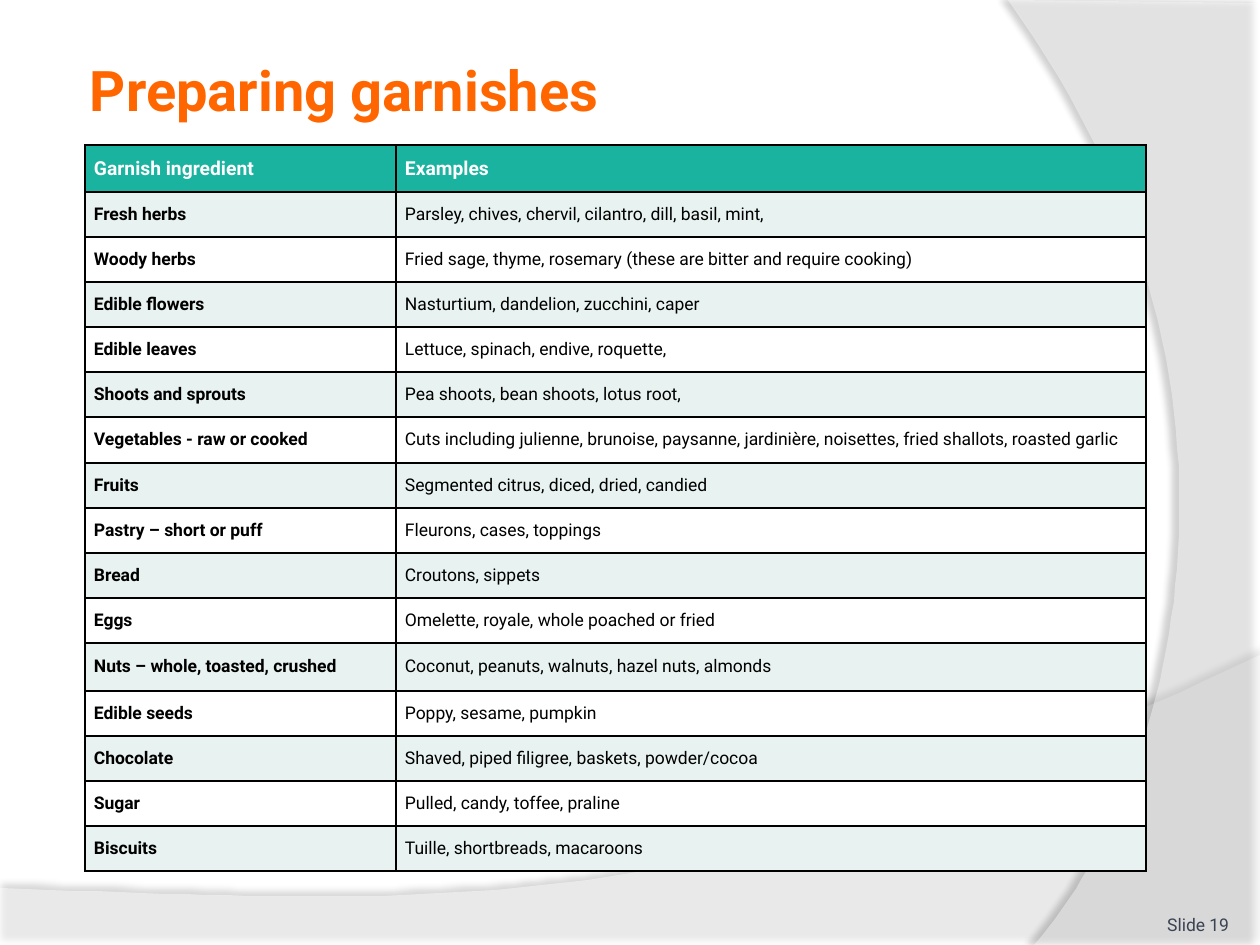
from lxml import etree
from pptx import Presentation
from pptx.dml.color import RGBColor
from pptx.enum.text import MSO_ANCHOR, PP_ALIGN
from pptx.oxml.ns import qn
from pptx.util import Pt

EMU_PER_PX = 914400 / 126
MIDDLE, BOTTOM = MSO_ANCHOR.MIDDLE, MSO_ANCHOR.BOTTOM
LEFT, RIGHT = PP_ALIGN.LEFT, PP_ALIGN.RIGHT


def px(n):
    return round(n * EMU_PER_PX)


def write(frame, text, size, color, bold=False, align=LEFT):
    paragraph = frame.paragraphs[0]
    paragraph.alignment = align
    run = paragraph.add_run()
    run.text = text
    formats = {"name": "Roboto", "size": Pt(size), "bold": bold}
    for key, value in formats.items():
        setattr(run.font, key, value)
    run.font.color.rgb = RGBColor.from_string(color)


prs = Presentation()
prs.slide_width, prs.slide_height = px(1260), px(945)
slide = prs.slides.add_slide(prs.slide_layouts[6])
shapes = slide.shapes

# Translucent waves: straight corners, then a cubic curve from the last corner
# (two control points and an end), with a soft shadow
waves = [
    {"corners": [(0, 888), (0, 945), (1260, 945), (1260, 655)],
     "curve": [(704, 919), (493, 906), (0, 888)],
     "alpha": 45, "shadow": 35, "distance": 3.5, "direction": 270},
    {"corners": [(1260, 3), (1260, 945), (1034, 945)],
     "curve": [(1178, 780), (1283, 378), (1008, 0)],
     "alpha": 40, "shadow": 45, "distance": 4, "direction": 180},
]
STEPS = 60
for wave in waves:
    start, *rest = wave["corners"]
    controls = [rest[-1], *wave["curve"]]
    curve = []
    for step in range(1, STEPS + 1):
        t = step / STEPS
        weights = [(1 - t) ** 3, 3 * t * (1 - t) ** 2, 3 * t * t * (1 - t), t ** 3]
        curve.append(tuple(sum(w * p[axis] for w, p in zip(weights, controls))
                           for axis in (0, 1)))
    builder = shapes.build_freeform(*start, scale=EMU_PER_PX)
    builder.add_line_segments(rest + curve, close=True)
    band = builder.convert_to_shape()
    band.line.fill.background()
    band.fill.solid()
    band.fill.fore_color.rgb = RGBColor.from_string("FFFFFF")
    props = band._element.spPr
    white = props.find(qn("a:solidFill"))[0]
    etree.SubElement(white, qn("a:alpha"), val=str(wave["alpha"] * 1000))
    band.shadow.inherit = False
    shadow = etree.SubElement(
        props.find(qn("a:effectLst")), qn("a:outerShdw"), blurRad=str(Pt(4)),
        dist=str(Pt(wave["distance"])), dir=str(wave["direction"] * 60000),
        rotWithShape="0")
    black = etree.SubElement(shadow, qn("a:srgbClr"), val="000000")
    etree.SubElement(black, qn("a:alpha"), val=str(wave["shadow"] * 1000))

# Title and slide number
labels = [
    ("Preparing garnishes", (84, 45, 1029, 89), 6, MIDDLE, 32, "FF6600", True, LEFT),
    ("Slide 19", (1124, 885, 105, 50), 0, BOTTOM, 10, "3A4352", False, RIGHT),
]
for text, place, inset, anchor, size, color, bold, align in labels:
    frame = shapes.add_textbox(*map(px, place)).text_frame
    frame.word_wrap = True
    frame.vertical_anchor = anchor
    for side in ("left", "top", "right", "bottom"):
        setattr(frame, f"margin_{side}", px(inset))
    write(frame, text, size, color, bold, align)

# Garnish table
garnishes = [
    ("Garnish ingredient", "Examples"),
    ("Fresh herbs", "Parsley, chives, chervil, cilantro, dill, basil, mint,"),
    ("Woody herbs", "Fried sage, thyme, rosemary (these are bitter and require cooking)"),
    ("Edible flowers", "Nasturtium, dandelion, zucchini, caper"),
    ("Edible leaves", "Lettuce, spinach, endive, roquette,"),
    ("Shoots and sprouts", "Pea shoots, bean shoots, lotus root,"),
    ("Vegetables - raw or cooked", "Cuts including julienne, brunoise, paysanne, "
     "jardinière, noisettes, fried shallots, roasted garlic"),
    ("Fruits", "Segmented citrus, diced, dried, candied"),
    ("Pastry – short or puff", "Fleurons, cases, toppings"),
    ("Bread", "Croutons, sippets"),
    ("Eggs", "Omelette, royale, whole poached or fried"),
    ("Nuts – whole, toasted, crushed", "Coconut, peanuts, walnuts, hazel nuts, almonds"),
    ("Edible seeds", "Poppy, sesame, pumpkin"),
    ("Chocolate", "Shaved, piped filigree, baskets, powder/cocoa"),
    ("Sugar", "Pulled, candy, toffee, praline"),
    ("Biscuits", "Tuille, shortbreads, macaroons"),
]
column_widths = [311, 750]
tall_rows = {0: 47, 6: 46, 11: 48}
row_heights = [tall_rows.get(r, 45) for r in range(len(garnishes))]
table = shapes.add_table(len(garnishes), 2, px(85), px(145),
                         px(sum(column_widths)), px(sum(row_heights))).table
for column, width in zip(table.columns, column_widths):
    column.width = px(width)
for r, entry in enumerate(garnishes):
    table.rows[r].height = px(row_heights[r])
    header = r == 0
    fill = "1AB39F" if header else "E8F2F0" if r % 2 else "FFFFFF"
    for c, text in enumerate(entry):
        cell = table.cell(r, c)
        cell.fill.solid()
        cell.fill.fore_color.rgb = RGBColor.from_string(fill)
        cell.vertical_anchor = MIDDLE
        cell.margin_left = cell.margin_right = px(9)
        cell.margin_top = cell.margin_bottom = px(5 if header else 0)
        write(cell.text_frame, text, 11 if header else 10,
              "FFFFFF" if header else "000000", header or c == 0)
        # Black rule on all four sides, placed ahead of the fill
        cell_props = cell._tc.get_or_add_tcPr()
        for i, side in enumerate(("lnL", "lnR", "lnT", "lnB")):
            rule = etree.Element(qn(f"a:{side}"), w=str(Pt(1)))
            paint = etree.SubElement(rule, qn("a:solidFill"))
            etree.SubElement(paint, qn("a:srgbClr"), val="000000")
            cell_props.insert(i, rule)

prs.save("out.pptx")
